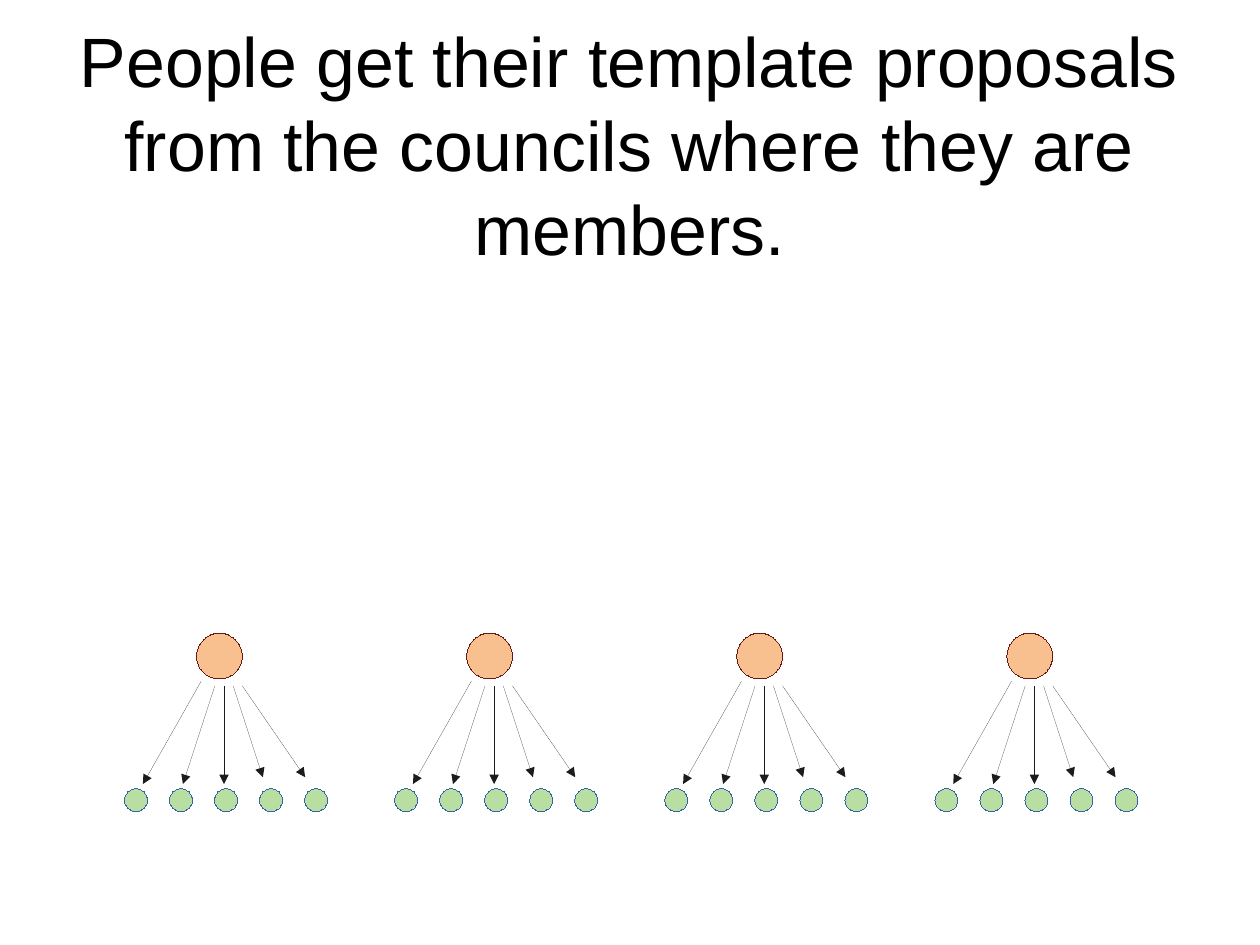
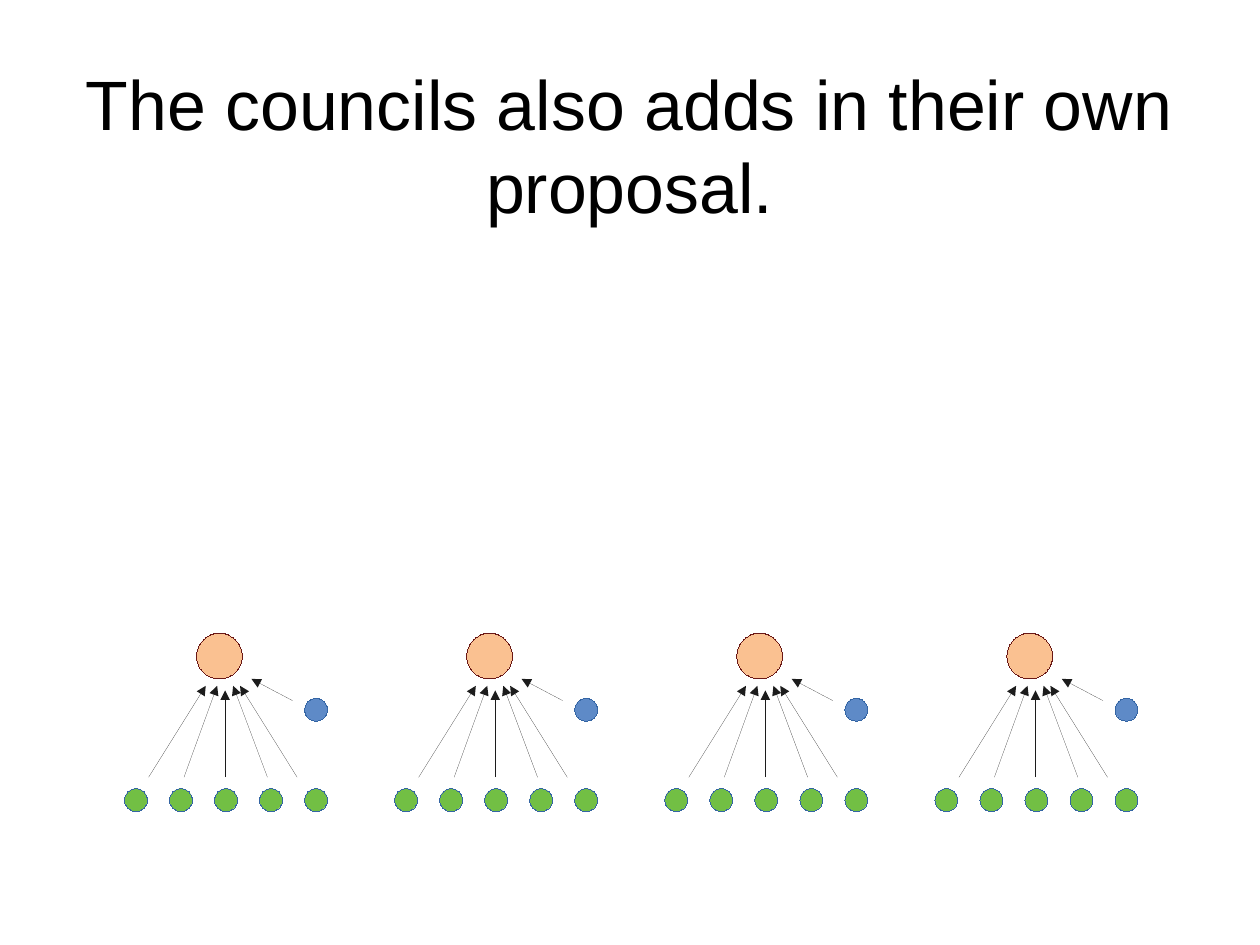
from dataclasses import dataclass

from lxml import etree
from pptx import Presentation
from pptx.dml.color import RGBColor
from pptx.enum.shapes import MSO_CONNECTOR, MSO_SHAPE
from pptx.enum.text import MSO_ANCHOR, MSO_AUTO_SIZE, PP_ALIGN
from pptx.oxml.ns import qn
from pptx.shapes.autoshape import Shape
from pptx.shapes.connector import Connector
from pptx.slide import Slide
from pptx.util import Inches, Pt

ELLIPSE = MSO_SHAPE.OVAL
STRAIGHT = MSO_CONNECTOR.STRAIGHT
MIDDLE = MSO_ANCHOR.MIDDLE
CENTER = PP_ALIGN.CENTER
GROW = MSO_AUTO_SIZE.SHAPE_TO_FIT_TEXT
BLANK_LAYOUT = 6
CM_PER_INCH = 2.54
PAGE_WIDTH = Inches(28 / CM_PER_INCH)
PAGE_HEIGHT = Inches(21 / CM_PER_INCH)


@dataclass(frozen=True)
class Theme:
    font: str = "Arial"
    title_size: int = 44
    hairline: int = 0
    text: str = "000000"
    arrow: str = "1C1C1C"
    member: str = "72BF44"
    member_line: str = "3465A4"
    council: str = "F58220"
    council_line: str = "6A1816"
    proposal: str = "5E8AC7"


@dataclass(frozen=True)
class Circle:
    left: float
    top: float
    size: float
    fill: str
    line: str
    opacity: int = 100


@dataclass(frozen=True)
class Arrow:
    start_x: float
    start_y: float
    end_x: float
    end_y: float


@dataclass(frozen=True)
class CouncilPage:
    title: str
    title_top: float
    title_height: float
    circles: list[Circle]
    arrows: list[Arrow]


THEME = Theme()
COUNCIL_COUNT = 4
MEMBER_COUNT = 5
FIRST_LEFT, LAST_LEFT = 1.09, 8.18
COUNCIL_PITCH = (LAST_LEFT - FIRST_LEFT) / (COUNCIL_COUNT - 1)
MEMBER_PITCH = COUNCIL_PITCH / (MEMBER_COUNT + 1)
LAST_MEMBER_LEFT = FIRST_LEFT + (MEMBER_COUNT - 1) * MEMBER_PITCH


def council_circles(member_opacity: int, council_opacity: int) -> list[Circle]:
    members = [
        Circle(FIRST_LEFT + index * MEMBER_PITCH, 6.9, 0.2,
               THEME.member, THEME.member_line, member_opacity)
        for index in range(MEMBER_COUNT)
    ]
    council = Circle(1.72, 5.54, 0.4, THEME.council, THEME.council_line, council_opacity)
    return [*members, council]


PAGES = [
    CouncilPage(
        "People get their template proposals from the councils where they are members.",
        0.23, 2.05,
        council_circles(member_opacity=50, council_opacity=50),
        [
            Arrow(1.76, 5.96, 1.25, 6.86),
            Arrow(1.88, 6, 1.6, 6.86),
            Arrow(1.96, 6, 1.96, 6.86),
            Arrow(2.04, 6, 2.3, 6.8),
            Arrow(2.12, 6, 2.67, 6.8),
        ],
    ),
    CouncilPage(
        "The councils also adds in their own proposal.",
        0.57, 1.38,
        [
            *council_circles(member_opacity=100, council_opacity=49),
            Circle(LAST_MEMBER_LEFT, 6.11, 0.2, THEME.proposal, THEME.member_line),
        ],
        [
            Arrow(1.3, 6.8, 1.8, 6),
            Arrow(1.61, 6.8, 1.9, 6),
            Arrow(1.97, 6.8, 1.97, 6.04),
            Arrow(2.34, 6.8, 2.04, 6),
            Arrow(2.6, 6.8, 2.1, 6),
            Arrow(2.56, 6.13, 2.2, 5.94),
        ],
    ),
]


def add_title(page: Slide, text: str, top: float, height: float) -> None:
    box = page.shapes.add_textbox(Inches(0.55), Inches(top), Inches(9.92), Inches(height))
    frame = box.text_frame
    frame.margin_left = frame.margin_right = frame.margin_top = frame.margin_bottom = 0
    frame.word_wrap = True
    frame.auto_size = GROW
    frame.vertical_anchor = MIDDLE
    frame.text = text
    para = frame.paragraphs[0]
    para.alignment = CENTER
    font = para.runs[0].font
    font.name = THEME.font
    font.size = Pt(THEME.title_size)
    font.color.rgb = RGBColor.from_string(THEME.text)


def set_hairline(shape: Shape | Connector, color: str) -> None:
    shape.line.color.rgb = RGBColor.from_string(color)
    shape.element.spPr.find(qn("a:ln")).set("w", str(THEME.hairline))


def add_circle(page: Slide, circle: Circle, shift: float) -> None:
    shape = page.shapes.add_shape(
        ELLIPSE, Inches(circle.left + shift), Inches(circle.top),
        Inches(circle.size), Inches(circle.size))
    shape.shadow.inherit = False
    shape.fill.solid()
    shape.fill.fore_color.rgb = RGBColor.from_string(circle.fill)
    set_hairline(shape, circle.line)
    if circle.opacity < 100:
        color = shape.element.spPr.find(qn("a:solidFill")).find(qn("a:srgbClr"))
        etree.SubElement(color, qn("a:alpha"), val=str(circle.opacity * 1000))


def add_arrow(page: Slide, arrow: Arrow, shift: float) -> None:
    connector = page.shapes.add_connector(
        STRAIGHT, Inches(arrow.start_x + shift), Inches(arrow.start_y),
        Inches(arrow.end_x + shift), Inches(arrow.end_y))
    set_hairline(connector, THEME.arrow)
    properties = connector.element.spPr
    etree.SubElement(properties.find(qn("a:ln")), qn("a:tailEnd"), type="triangle")
    etree.SubElement(properties, qn("a:effectLst"))


def add_council_page(deck: Presentation, content: CouncilPage) -> None:
    page = deck.slides.add_slide(deck.slide_layouts[BLANK_LAYOUT])
    add_title(page, content.title, content.title_top, content.title_height)
    for index in range(COUNCIL_COUNT):
        shift = index * COUNCIL_PITCH
        for circle in content.circles:
            add_circle(page, circle, shift)
        for arrow in content.arrows:
            add_arrow(page, arrow, shift)


def main() -> None:
    deck = Presentation()
    deck.slide_width = PAGE_WIDTH
    deck.slide_height = PAGE_HEIGHT
    for content in PAGES:
        add_council_page(deck, content)
    deck.save("out.pptx")


if __name__ == "__main__":
    main()
